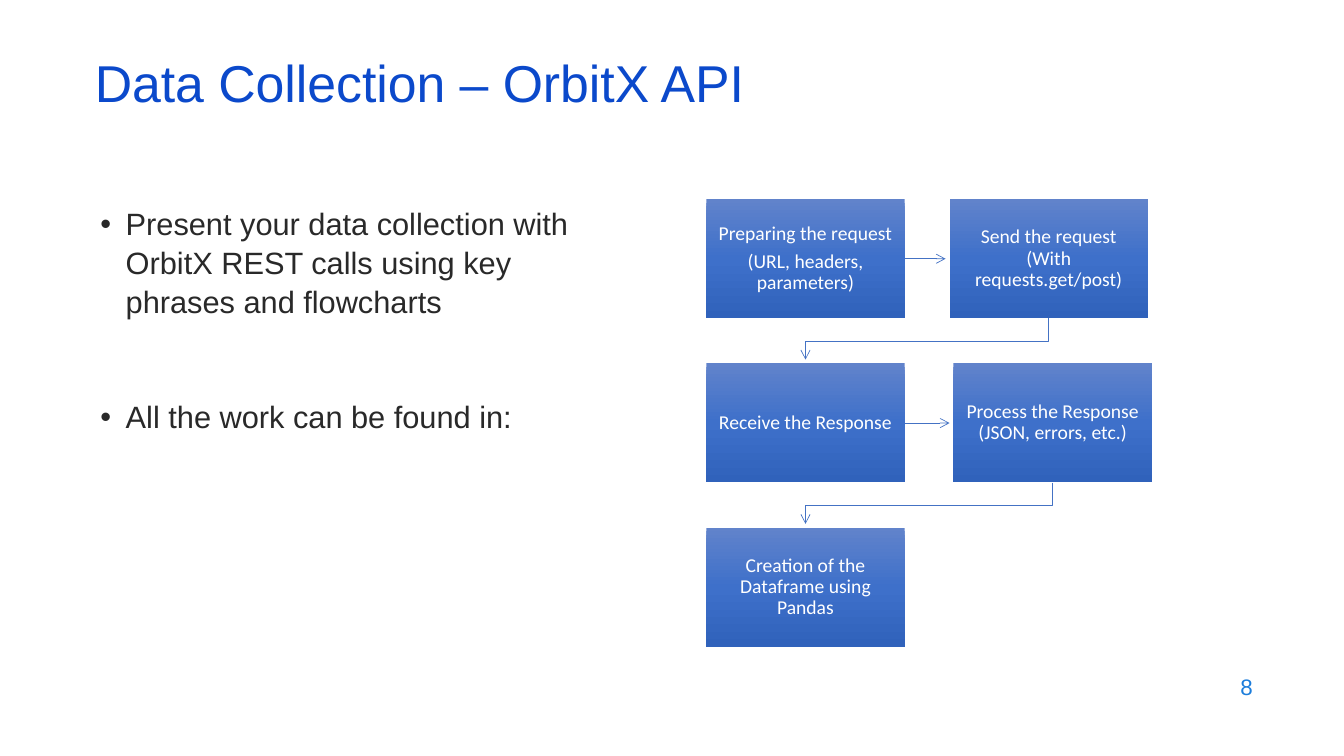
from copy import deepcopy
from lxml.etree import SubElement
from pptx import Presentation
from pptx.dml.color import RGBColor
from pptx.enum.shapes import MSO_CONNECTOR, MSO_SHAPE
from pptx.enum.text import MSO_ANCHOR, PP_ALIGN
from pptx.oxml.ns import qn
from pptx.util import Cm, Pt

HUES = {
    "title": "0B49CB", "body": "292929", "page": "1C7DDB",
    "line": "4472C4", "label": "FFFFFF",
    "top": "6183CB", "mid": "3E70CA", "base": "3062BB",
}


class Deck:
    def __init__(self, wide, high):
        self.show = Presentation()
        self.show.slide_width = Cm(wide)
        self.show.slide_height = Cm(high)
        self.slide = self.show.slides.add_slide(self.show.slide_layouts[6])
        self.shapes = self.slide.shapes

    def hue(self, name):
        return RGBColor.from_string(HUES[name])

    def add_text(self, para, text, size, hue, face="Arial"):
        run = para.add_run()
        run.text = text
        run.font.size = Pt(size)
        run.font.name = face
        run.font.color.rgb = self.hue(hue)

    def frame(self, left, top, width, height, anchor=MSO_ANCHOR.MIDDLE):
        box = self.shapes.add_textbox(Cm(left), Cm(top), Cm(width), Cm(height))
        frame = box.text_frame
        frame.word_wrap = True
        frame.vertical_anchor = anchor
        return frame

    def line(self, spot, text, size, hue, align=PP_ALIGN.LEFT, lead=1.0):
        para = self.frame(*spot).paragraphs[0]
        para.alignment = align
        para.line_spacing = lead
        self.add_text(para, text, size, hue)

    def bullets(self, spot, items, gap):
        frame = self.frame(*spot, MSO_ANCHOR.TOP)
        for i, text in enumerate(items):
            para = frame.add_paragraph() if i else frame.paragraphs[0]
            props = para._p.get_or_add_pPr()
            props.set("marL", str(Cm(0.64)))
            props.set("indent", str(-Cm(0.64)))
            SubElement(props, qn("a:buFont"), typeface="Arial")
            SubElement(props, qn("a:buChar"), char="•")
            para.line_spacing = 1.05
            if i:
                para.space_before = Pt(gap)
            self.add_text(para, text, 22, "body")

    def step(self, left, top, width, height, *texts):
        box = self.shapes.add_shape(
            MSO_SHAPE.RECTANGLE, Cm(left), Cm(top), Cm(width), Cm(height))
        box.shadow.inherit = False
        box.line.fill.background()
        box.fill.gradient()
        box.fill.gradient_angle = 270
        stops = box._element.spPr.find(qn("a:gradFill")).find(qn("a:gsLst"))
        stops.insert(1, deepcopy(stops[0]))
        for i, (stop, name) in enumerate(
                zip(box.fill.gradient_stops, ("top", "mid", "base"))):
            stop.position = i / 2
            stop.color.rgb = self.hue(name)
        frame = box.text_frame
        frame.word_wrap = True
        frame.vertical_anchor = MSO_ANCHOR.MIDDLE
        frame.margin_left = frame.margin_right = Cm(0.28)
        frame.margin_top = frame.margin_bottom = Cm(0.28)
        for i, text in enumerate(texts):
            para = frame.add_paragraph() if i else frame.paragraphs[0]
            para.alignment = PP_ALIGN.CENTER
            para.line_spacing = 0.9
            para.space_after = Pt(4.9)
            self.add_text(para, text, 14, "label", "Calibri")

    def tip(self, shape):
        shape.line.color.rgb = self.hue("line")
        shape.line.width = Pt(0.5)
        edge = shape._element.spPr.find(qn("a:ln"))
        SubElement(edge, qn("a:tailEnd"), type="arrow")

    def arrow(self, start, end, y):
        link = self.shapes.add_connector(
            MSO_CONNECTOR.STRAIGHT, Cm(start), Cm(y), Cm(end), Cm(y))
        self.tip(link)
        SubElement(link._element.spPr, qn("a:effectLst"))

    def bend(self, start, *points):
        route = self.shapes.build_freeform(Cm(start[0]), Cm(start[1]))
        route.add_line_segments([(Cm(x), Cm(y)) for x, y in points], close=False)
        shape = route.convert_to_shape()
        shape.shadow.inherit = False
        shape.fill.background()
        self.tip(shape)

    def save(self):
        self.show.save("out.pptx")


def main():
    deck = Deck(33.87, 19.05)
    deck.line((24.2, 16.74, 7.62, 1.12), "8", 16, "page", PP_ALIGN.RIGHT)
    deck.bullets((2.28, 5, 12.88, 11.74), [
        "Present your data collection with OrbitX REST calls using key "
        "phrases and flowcharts",
        "All the work can be found in:",
    ], 54.6)
    deck.line((2.14, 1.5, 29.2, 1.52), "Data Collection – OrbitX API", 37,
              "title", lead=0.7)

    left, top, pitch, wide, high, gap = 17.8, 5.02, 4.14, 5, 3, 0.1
    rows = [
        (23.93, ("Preparing the request", "(URL, headers, parameters)"),
         "Send the request (With requests.get/post)"),
        (24.03, ("Receive the Response",),
         "Process the Response (JSON, errors, etc.)"),
    ]
    mid = left + wide / 2
    for i, (right, first, second) in enumerate(rows):
        y = top + i * pitch
        low, turn = y + high, right + wide / 2
        deck.arrow(left + wide, right - gap, y + high / 2)
        deck.step(left, y, wide, high, *first)
        deck.bend((turn, low), (turn, low + 0.58), (mid, low + 0.58),
                  (mid, y + pitch - gap))
        deck.step(right, y, wide, high, second)
    deck.step(left, top + len(rows) * pitch, wide, high,
              "Creation of the Dataframe using Pandas")
    deck.save()


if __name__ == "__main__":
    main()
